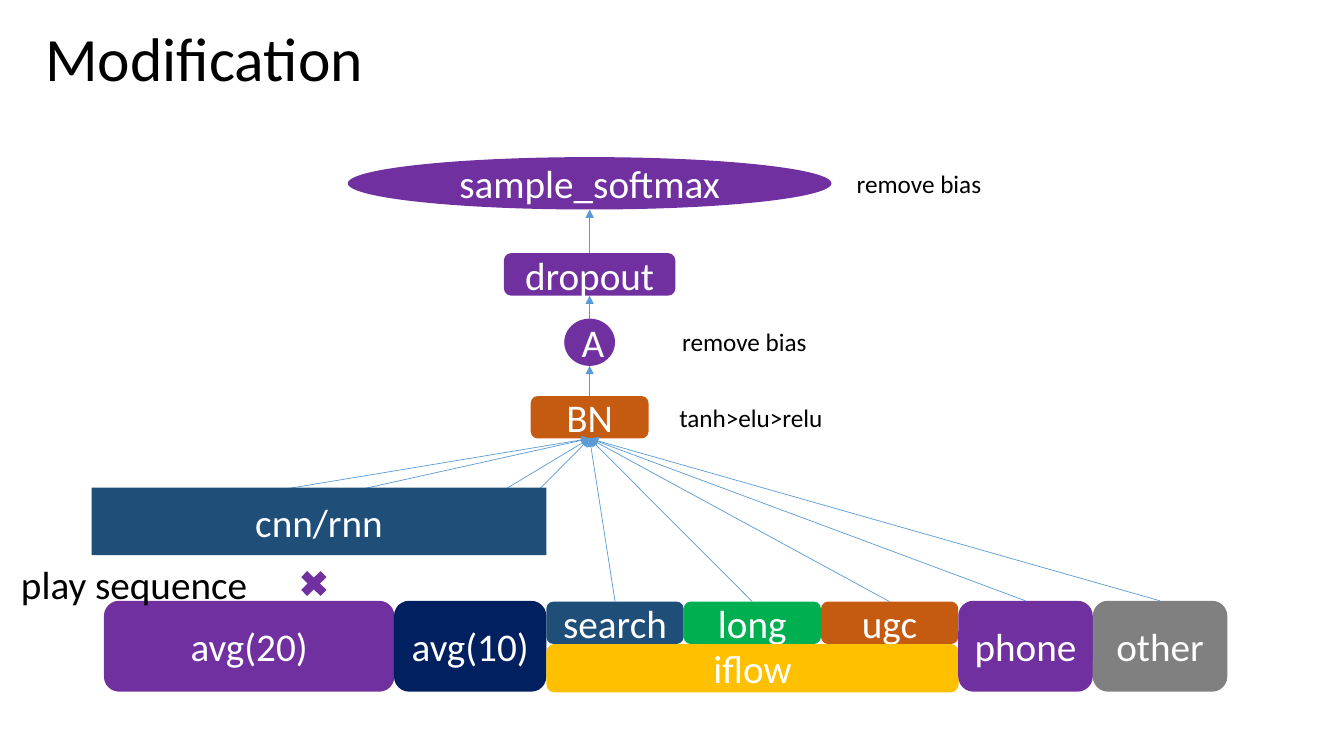
"""Draw the modified network diagram on one slide."""
from lxml import etree
from pptx import Presentation
from pptx.dml.color import RGBColor
from pptx.enum.shapes import MSO_CONNECTOR, MSO_SHAPE
from pptx.enum.text import MSO_ANCHOR, PP_ALIGN
from pptx.oxml.ns import qn
from pptx.util import Cm, Pt

ROUND = MSO_SHAPE.ROUNDED_RECTANGLE
RECT = MSO_SHAPE.RECTANGLE
OVAL = MSO_SHAPE.OVAL
CROSS = MSO_SHAPE.MATH_MULTIPLY
LINE = MSO_CONNECTOR.STRAIGHT
MIDDLE, TOP = MSO_ANCHOR.MIDDLE, MSO_ANCHOR.TOP
CENTER, LEFT = PP_ALIGN.CENTER, PP_ALIGN.LEFT
COLORS = {
    "purple": "7030A0", "navy": "002060", "blue": "1F4E79",
    "green": "00B050", "orange": "C55A11", "gold": "FFC000",
    "gray": "808080", "sky": "5B9BD5", "black": "000000", "white": "FFFFFF",
}


class Board:
    def __init__(self, slide, font="Calibri"):
        self.slide = slide
        self.font = font

    def color(self, name):
        return RGBColor.from_string(COLORS[name])

    def fill_text(self, frame, words, size, color, align, anchor):
        frame.word_wrap = True
        frame.vertical_anchor = anchor
        para = frame.paragraphs[0]
        para.text = words
        para.alignment = align
        para.font.name = self.font
        para.font.size = Pt(size)
        para.font.color.rgb = self.color(color)
        return para

    def shape(self, kind, fill, x, y, w, h, words=""):
        item = self.slide.shapes.add_shape(kind, Cm(x), Cm(y), Cm(w), Cm(h))
        item.shadow.inherit = False
        item.fill.solid()
        item.fill.fore_color.rgb = self.color(fill)
        item.line.fill.background()
        if words:
            self.fill_text(item.text_frame, words, 28, "white", CENTER, MIDDLE)
        return item

    def label(self, words, size, x, y, w, h, anchor=TOP):
        box = self.slide.shapes.add_textbox(Cm(x), Cm(y), Cm(w), Cm(h))
        return self.fill_text(box.text_frame, words, size, "black", LEFT, anchor)

    def arrow(self, start, end, source=None, target=None):
        points = [Cm(n) for n in (*start, *end)]
        link = self.slide.shapes.add_connector(LINE, *points)
        if source is not None:
            link.begin_connect(source, 0)
        if target is not None:
            link.end_connect(target, 2)
        link.line.color.rgb = self.color("sky")
        link.line.width = Pt(0.5)
        props = link._element.spPr
        etree.SubElement(props.find(qn("a:ln")), qn("a:tailEnd"), type="triangle")
        etree.SubElement(props, qn("a:effectLst"))


def main():
    deck = Presentation()
    deck.slide_width, deck.slide_height = Cm(33.87), Cm(19.05)
    board = Board(deck.slides.add_slide(deck.slide_layouts[6]))
    title = board.label("Modification", 44, 0.89, -0.3, 29.21, 3.68, MIDDLE)
    title.line_spacing = 0.9

    row, tall, low = 15.14, 2.29, 1.07
    board.shape(ROUND, "purple", 2.62, row, 7.32, tall, "avg(20)")
    board.shape(ROUND, "navy", 9.93, row, 3.84, tall, "avg(10)")
    board.label("play sequence", 28, 0.28, 14, 6.65, 1.45)

    feeds = []
    tabs = [("search", "blue"), ("long", "green"), ("ugc", "orange")]
    for i, (words, fill) in enumerate(tabs):
        x = 13.77 + 3.46 * i
        feeds.append(board.shape(ROUND, fill, x, 15.16, 3.46, low, words))
    board.shape(ROUND, "gold", 13.77, 16.23, 10.39, 1.22, "iflow")
    for i, (words, fill) in enumerate([("phone", "purple"), ("other", "gray")]):
        x = 24.15 + 3.39 * i
        feeds.append(board.shape(ROUND, fill, x, row, 3.39, tall, words))
    board.shape(CROSS, "purple", 7.44, 14.25, 0.94, 0.91)

    mid = 14.86
    stack = [
        ("BN", ROUND, "orange", 9.98, 2.97, low),
        ("A", OVAL, "purple", 8.03, 1.28, 1.19),
        ("dropout", ROUND, "purple", 6.38, 4.32, low),
        ("sample_softmax", OVAL, "purple", 3.96, 12.19, 1.32),
    ]
    nodes = []
    for words, kind, fill, y, w, h in stack:
        nodes.append(board.shape(kind, fill, mid - w / 2, y, w, h, words))
    for i, (below, above) in enumerate(zip(stack, stack[1:])):
        target = nodes[i + 1] if above[1] == ROUND else None
        board.arrow((mid, below[3]), (mid, above[3] + above[5]), nodes[i], target)

    base = (mid, 9.98 + low)
    for start in [(10.72, 13.54), (6.3, 12.95), (3.4, 12.95), (12.98, 12.95)]:
        board.arrow(start, base, target=nodes[0])
    for feed in feeds:
        board.arrow(base, base, feed, nodes[0])
    board.shape(RECT, "blue", 2.31, 12.29, 11.46, 1.7, "cnn/rnn")

    notes = [("tanh>elu>relu", 16.87, 10.01), ("remove bias", 16.94, 8.1),
             ("remove bias", 21.34, 4.11)]
    for words, x, y in notes:
        board.label(words, 18, x, y, 4.19, 1.02)
    deck.save("out.pptx")


if __name__ == "__main__":
    main()
